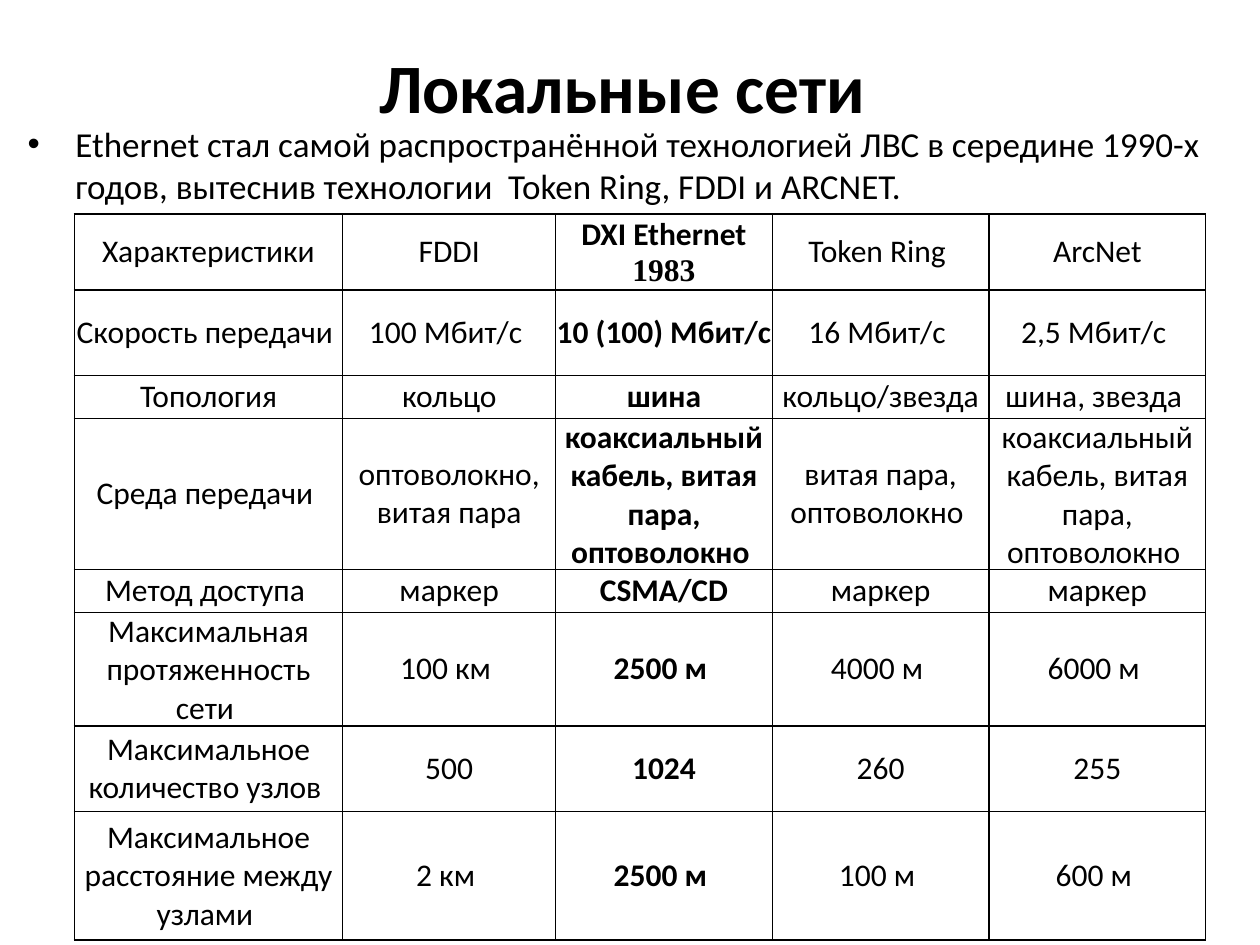
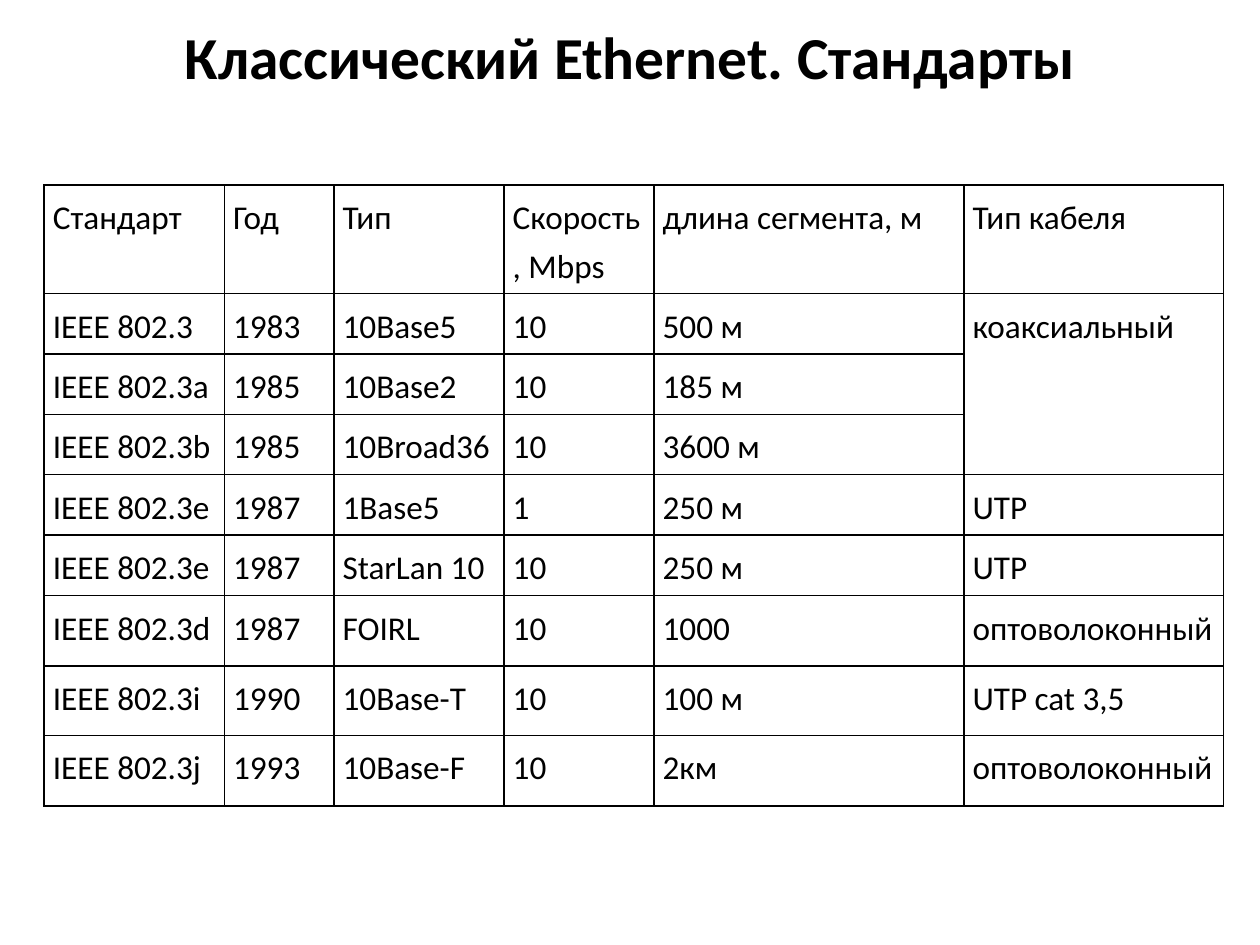
from lxml.etree import SubElement
from pptx import Presentation
from pptx.dml.color import RGBColor
from pptx.enum.text import MSO_ANCHOR as Anchor, PP_ALIGN as Align
from pptx.oxml.ns import qn
from pptx.util import Pt

PX = 9144  # EMU in one px, 100 px to the inch
BLACK = RGBColor(0x00, 0x00, 0x00)
SANS, SERIF = "Calibri", "Times New Roman"

NETS = [
    ["Характеристики", "FDDI", "DXI Ethernet\n1983", "Token Ring ", "ArcNet"],
    ["Скорость передачи ", "100 Мбит/с ", "10 (100) Мбит/с", "16 Мбит/с ", "2,5 Мбит/с "],
    ["Топология", "кольцо", "шина", "кольцо/звезда", "шина, звезда "],
    ["Среда передачи ", "оптоволокно, витая пара",
     "коаксиальный кабель, витая пара, оптоволокно ", "витая пара, оптоволокно ",
     "коаксиальный кабель, витая пара, оптоволокно "],
    ["Метод доступа ", "маркер", "CSMA/CD", "маркер", "маркер"],
    ["Максимальная протяженность сети ", "100 км ", "2500 м ", "4000 м ", "6000 м "],
    ["Максимальное количество узлов ", "500", "1024", "260", "255"],
    ["Максимальное расстояние между узлами ", "2 км ", "2500 м ", "100 м ", "600 м "],
]
NORMS = [
    ["Стандарт", "Год", "Тип", "Скорость, Мbps", "длина сегмента, м", "Тип кабеля"],
    ["IEEE 802.3", "1983", "10Base5", "10", "500 м", "коаксиальный"],
    ["IEEE 802.3а", "1985", "10Base2", "10", "185 м", ""],
    ["IEEE 802.3b", "1985", "10Broad36", "10", "3600 м", ""],
    ["IEEE 802.3e", "1987", "1Base5", "1", "250 м", "UTP"],
    ["IEEE 802.3e", "1987", "StarLan 10", "10", "250 м", "UTP"],
    ["IEEE 802.3d", "1987", "FOIRL", "10", "1000", "оптоволоконный"],
    ["IEEE 802.3i", "1990", "10Base-Т", "10", "100 м", "UTP cat 3,5"],
    ["IEEE 802.3j", "1993", "10Base-F", "10", "2км", "оптоволоконный"],
]


class Deck:
    def __init__(self):
        self.prs = Presentation()
        self.prs.slide_width, self.prs.slide_height = 1000 * PX, 750 * PX
        self.slide = None

    def new(self):
        self.slide = self.prs.slides.add_slide(self.prs.slide_layouts[6])

    def style(self, para, size, bold=False, face=SANS, align=Align.LEFT):
        para.alignment = align
        font = para.font
        font.name, font.size, font.bold = face, Pt(size), bold
        font.color.rgb = BLACK

    def text(self, text, box, anchor):
        frame = self.slide.shapes.add_textbox(*(n * PX for n in box)).text_frame
        frame.word_wrap = True
        frame.vertical_anchor = anchor
        frame.text = text
        return frame.paragraphs[0]

    def title(self, text, top, high, size):
        para = self.text(text, (50, top, 900, high), Anchor.MIDDLE)
        self.style(para, size, bold=True, align=Align.CENTER)

    def bullet(self, text, box, size, indent):
        para = self.text(text, box, Anchor.TOP)
        props = para._p.get_or_add_pPr()
        props.set("marL", str(indent * PX))
        props.set("indent", str(-indent * PX))
        SubElement(props, qn("a:buFont"), typeface="Arial")
        SubElement(props, qn("a:buChar"), char="•")
        self.style(para, size)

    def border(self, cell):
        props = cell._tc.get_or_add_tcPr()
        for side in ("lnL", "lnR", "lnT", "lnB"):
            line = SubElement(props, qn(f"a:{side}"), w=str(Pt(1)))
            fill = SubElement(line, qn("a:solidFill"))
            SubElement(fill, qn("a:srgbClr"), val=str(BLACK))

    def table(self, data, spot, cols, rows, size, pads=(0, 0, 0, 0),
              anchor=Anchor.TOP, align=Align.LEFT, space=1.0, strong=None):
        """Draw a ruled table; strong is the index of the bold column."""
        box = (*spot, sum(cols), sum(rows))
        grid = self.slide.shapes.add_table(
            len(rows), len(cols), *(n * PX for n in box)).table
        grid.first_row = grid.horz_banding = False
        for col, wide in zip(grid.columns, cols):
            col.width = wide * PX
        for r, (row, high) in enumerate(zip(grid.rows, rows)):
            row.height = high * PX
            for c, cell in enumerate(row.cells):
                self.border(cell)
                cell.fill.background()
                cell.vertical_anchor = anchor
                (cell.margin_left, cell.margin_top,
                 cell.margin_right, cell.margin_bottom) = (n * PX for n in pads)
                cell.text = data[r][c]
                for para in cell.text_frame.paragraphs:
                    para.line_spacing = space
                    self.style(para, size, c == strong, align=align)
        return grid


def nets(deck):
    deck.new()
    deck.title("Локальные сети ", 30, 77, 39.6)
    deck.bullet("Ethernet стал самой распространённой технологией ЛВС в середине "
                "1990-х годов, вытеснив технологии  Token Ring, FDDI и ARCNET.",
                (12, 92, 969, 614), 20, 38)
    grid = deck.table(NETS, (59, 170), [213, 169] + [172] * 3,
                      [34, 68, 34, 102, 34, 68, 68, 102], 18,
                      anchor=Anchor.MIDDLE, align=Align.CENTER, strong=2)
    grid.cell(0, 2).text_frame.paragraphs[1].font.name = SERIF


def norms(deck):
    deck.new()
    deck.title("Классический Ethernet. Стандарты", 21, 47, 34)
    grid = deck.table(NORMS, (35, 147), [143, 87, 135, 119, 246, 206],
                      [73] + [41] * 5 + [56, 55, 56], 19,
                      pads=(7, 4, 7, 6), space=1.2)
    grid.cell(1, 5).merge(grid.cell(3, 5))


def main():
    deck = Deck()
    nets(deck)
    norms(deck)
    deck.prs.save("out.pptx")


if __name__ == "__main__":
    main()
